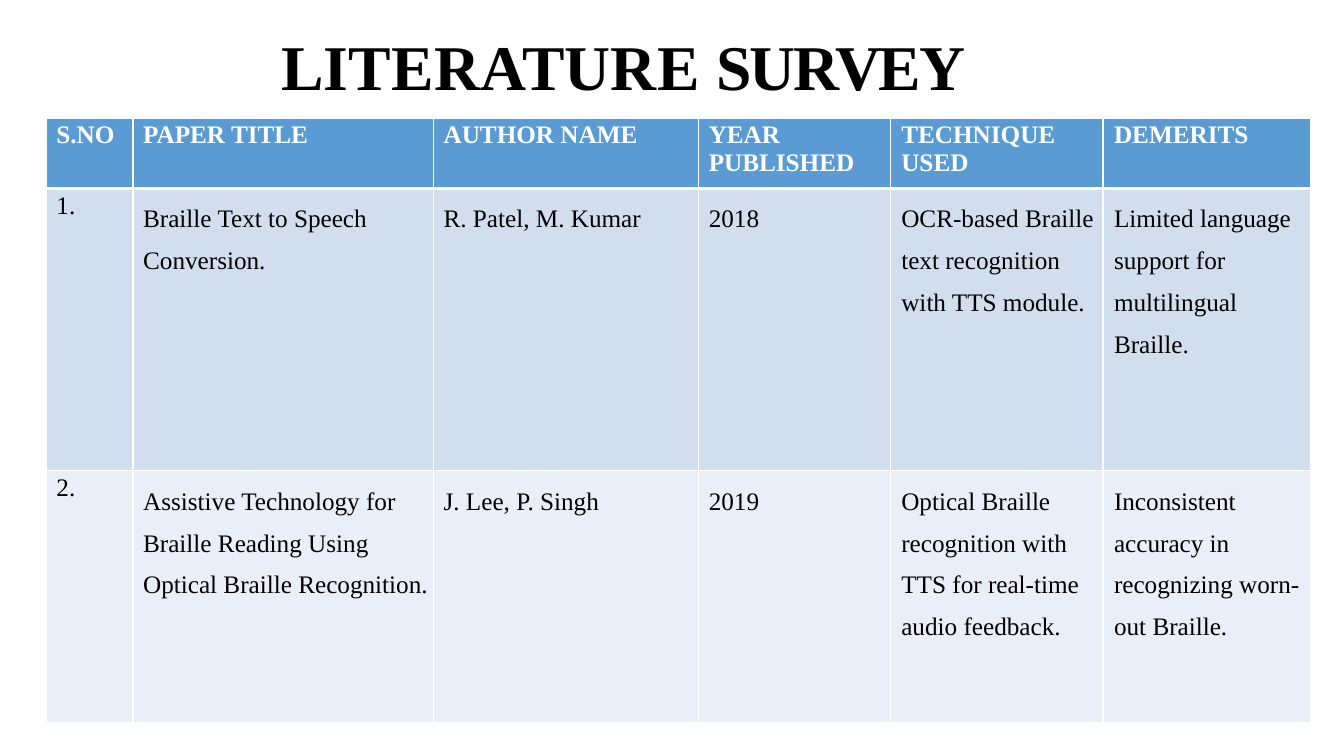
from dataclasses import dataclass

from lxml.etree import SubElement
from pptx import Presentation
from pptx.dml.color import RGBColor
from pptx.enum.text import MSO_ANCHOR
from pptx.oxml.ns import qn
from pptx.util import Inches, Pt


@dataclass(frozen=True)
class Theme:
    font: str = "Times New Roman"
    title_size: float = 45.5
    table_size: float = 18
    ink: str = "000000"
    white: str = "FFFFFF"
    header_fill: str = "5B9BD4"
    row_fills: tuple = ("D2DEEE", "EAEEF7")
    thin: float = 1
    thick: float = 3


THEME = Theme()
TITLE_BOX = (2.79, 0.25, 6.9, 0.79)
TABLE_BOX = (0.46, 1.17, 12.54, 6)
COLUMN_WIDTHS = (0.86, 2.98, 2.63, 1.9, 2.11, 2.06)
ROW_HEIGHTS = (0.7, 2.8, 2.5)
TWO_LINE_HEADERS = ("YEAR PUBLISHED", "TECHNIQUE USED")

SURVEY = (
    ("S.NO", "PAPER TITLE", "AUTHOR NAME", *TWO_LINE_HEADERS, "DEMERITS"),
    ("1.", "Braille Text to Speech Conversion.", "R. Patel, M. Kumar", "2018",
     "OCR-based Braille text recognition with TTS module.",
     "Limited language support for multilingual Braille."),
    ("2.", "Assistive Technology for Braille Reading Using Optical Braille Recognition.",
     "J. Lee, P. Singh", "2019",
     "Optical Braille recognition with TTS for real-time audio feedback.",
     "Inconsistent accuracy in recognizing worn-out Braille."),
)


def set_all(target, values):
    for name, value in values.items():
        setattr(target, name, value)


def add_run(paragraph, text, size, color, bold, tracking=0):
    run = paragraph.add_run()
    run.text = text
    set_all(run.font, {"name": THEME.font, "size": Pt(size), "bold": bold})
    run.font.color.rgb = RGBColor.from_string(color)
    if tracking:
        run.font._element.set("spc", str(round(tracking * 100)))


def add_title(slide, box):
    shape = slide.shapes.add_textbox(*map(Inches, box))
    frame = shape.text_frame
    set_all(frame, {"word_wrap": True, "vertical_anchor": MSO_ANCHOR.TOP,
                    "margin_left": 0, "margin_top": Inches(0.02),
                    "margin_right": 0, "margin_bottom": 0})
    paragraph = frame.paragraphs[0]
    paragraph.space_before = Pt(1.3)
    for text, tracking in (("LITERATURE ", 0.2), ("SURVEY", -1.6)):
        add_run(paragraph, text, THEME.title_size, THEME.ink, True, tracking)


def set_borders(cell, widths):
    properties = cell._tc.get_or_add_tcPr()
    for side, width in widths.items():
        line = SubElement(properties, qn(f"a:ln{side}"), w=str(Pt(width)))
        fill = SubElement(line, qn("a:solidFill"))
        SubElement(fill, qn("a:srgbClr"), val=THEME.white)


def fill_cell(cell, text, row, column):
    header = row == 0
    # The heavy rule lies between the header and the first entry
    set_borders(cell, {"L": THEME.thin, "R": THEME.thin,
                       "T": THEME.thick if row == 1 else THEME.thin,
                       "B": THEME.thick if header else THEME.thin})
    cell.fill.solid()
    fill = THEME.header_fill if header else THEME.row_fills[(row - 1) % 2]
    cell.fill.fore_color.rgb = RGBColor.from_string(fill)
    set_all(cell, {"margin_left": Inches(0.11 if column > 3 else 0.1),
                   "margin_top": Inches(0.03), "margin_right": 0,
                   "margin_bottom": 0, "vertical_anchor": MSO_ANCHOR.TOP})

    paragraph = cell.text_frame.paragraphs[0]
    paragraph.space_before = Pt(2 if text in TWO_LINE_HEADERS else 2.3)
    if text in TWO_LINE_HEADERS:
        paragraph.line_spacing = 1.01
    elif not header and column > 0:
        paragraph.line_spacing = 1.5
    add_run(paragraph, text, THEME.table_size,
            THEME.white if header else THEME.ink, header)


def add_survey_table(slide, box):
    frame = slide.shapes.add_table(len(ROW_HEIGHTS), len(COLUMN_WIDTHS),
                                   *map(Inches, box))
    table = frame.table
    for column, width in zip(table.columns, COLUMN_WIDTHS):
        column.width = Inches(width)
    for row, height in zip(table.rows, ROW_HEIGHTS):
        row.height = Inches(height)
    for row, texts in enumerate(SURVEY):
        for column, text in enumerate(texts):
            fill_cell(table.cell(row, column), text, row, column)


def main():
    presentation = Presentation()
    set_all(presentation, {"slide_width": Inches(13.33),
                           "slide_height": Inches(7.5)})
    slide = presentation.slides.add_slide(presentation.slide_layouts[6])
    add_title(slide, TITLE_BOX)
    add_survey_table(slide, TABLE_BOX)
    presentation.save("out.pptx")


if __name__ == "__main__":
    main()
